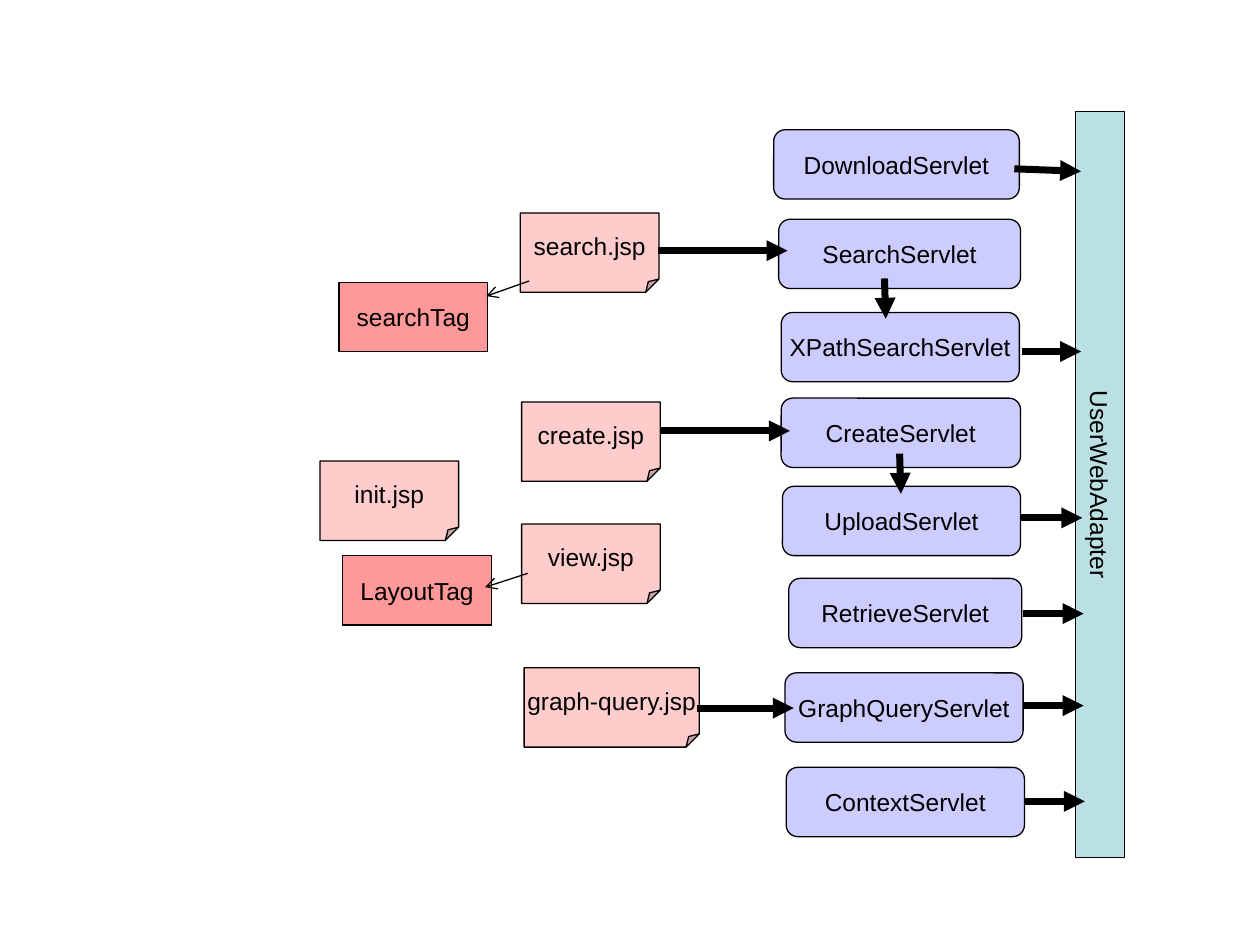
from lxml.etree import SubElement
from pptx import Presentation
from pptx.dml.color import RGBColor
from pptx.enum.shapes import MSO_CONNECTOR, MSO_SHAPE
from pptx.enum.text import MSO_ANCHOR, PP_ALIGN
from pptx.oxml.ns import qn
from pptx.util import Inches, Pt

BLACK = RGBColor(0x00, 0x00, 0x00)
TEAL = RGBColor(0xBB, 0xE0, 0xE3)
LILAC = RGBColor(0xCC, 0xCC, 0xFF)
PINK = RGBColor(0xFF, 0xCC, 0xCC)
ROSE = RGBColor(0xFF, 0x99, 0x99)

FONT = {"name": "Arial", "size": Pt(14)}
FRAME = {"word_wrap": False, "vertical_anchor": MSO_ANCHOR.MIDDLE}

# Each box: label, left, top, width
SERVLETS = [
    ("DownloadServlet", 6.14, 1.03, 1.95),
    ("SearchServlet", 6.18, 1.74, 1.92),
    ("XPathSearchServlet", 6.2, 2.48, 1.89),
    ("CreateServlet", 6.2, 3.16, 1.9),
    ("UploadServlet", 6.21, 3.86, 1.89),
    ("RetrieveServlet", 6.26, 4.59, 1.85),
    ("GraphQueryServlet", 6.23, 5.34, 1.89),
    ("ContextServlet", 6.24, 6.09, 1.89),
]
PAGES = [
    ("search.jsp", 4.13, 1.69, 1.1),
    ("create.jsp", 4.14, 3.19, 1.1),
    ("init.jsp", 2.54, 3.66, 1.1),
    ("view.jsp", 4.14, 4.16, 1.1),
    ("graph-query.jsp", 4.16, 5.3, 1.39),
]
TAGS = [
    ("searchTag", 2.69, 2.24, 1.18),
    ("LayoutTag", 2.72, 4.41, 1.18),
]

# Each arrow: start x, start y, end x, end y
CALLS = [
    # servlet to adapter
    (8.05, 1.34, 8.58, 1.36),
    (8.11, 2.79, 8.58, 2.79),
    (8.1, 4.11, 8.59, 4.11),
    (8.12, 4.87, 8.6, 4.87),
    (8.12, 5.6, 8.6, 5.6),
    (8.13, 6.36, 8.61, 6.36),
    # servlet to servlet
    (7.02, 2.21, 7.03, 2.53),
    (7.14, 3.6, 7.15, 3.92),
    # page to servlet
    (5.22, 1.99, 6.25, 1.99),
    (5.24, 3.42, 6.27, 3.42),
    (5.53, 5.62, 6.3, 5.62),
]
USES = [
    (4.2, 2.23, 3.86, 2.35),
    (4.19, 4.55, 3.85, 4.66),
]


def format_all(item, values):
    for name, value in values.items():
        setattr(item, name, value)


def add_box(slide, kind, fill, height, label, left, top, width):
    box = slide.shapes.add_shape(
        kind, Inches(left), Inches(top), Inches(width), Inches(height))
    box.shadow.inherit = False
    box.fill.solid()
    box.fill.fore_color.rgb = fill
    box.line.color.rgb = BLACK
    box.line.width = Pt(0.75)
    frame = box.text_frame
    format_all(frame, FRAME)
    para = frame.paragraphs[0]
    para.text = label
    para.alignment = PP_ALIGN.CENTER
    format_all(para.font, FONT)
    para.font.color.rgb = BLACK
    return box


def add_arrow(slide, ends, width, head):
    arrow = slide.shapes.add_connector(
        MSO_CONNECTOR.STRAIGHT, *[Inches(end) for end in ends])
    arrow.line.color.rgb = BLACK
    arrow.line.width = Pt(width)
    props = arrow.element.spPr
    SubElement(props.find(qn("a:ln")), qn("a:tailEnd"), type=head)
    SubElement(props, qn("a:effectLst"))


def main():
    deck = Presentation()
    deck.slide_width, deck.slide_height = Inches(10), Inches(7.5)
    slide = deck.slides.add_slide(deck.slide_layouts[6])

    bar = add_box(slide, MSO_SHAPE.RECTANGLE, TEAL, 0.39,
                  "UserWebAdapter", 5.77, 3.65, 5.92)
    bar.rotation = 90

    groups = [
        (MSO_SHAPE.ROUNDED_RECTANGLE, LILAC, 0.55, SERVLETS),
        (MSO_SHAPE.FOLDED_CORNER, PINK, 0.63, PAGES),
        (MSO_SHAPE.RECTANGLE, ROSE, 0.55, TAGS),
    ]
    for kind, fill, height, boxes in groups:
        for box in boxes:
            add_box(slide, kind, fill, height, *box)

    for arrows, width, head in [(CALLS, 4, "triangle"), (USES, 0.75, "arrow")]:
        for ends in arrows:
            add_arrow(slide, ends, width, head)

    deck.save("out.pptx")


if __name__ == "__main__":
    main()
